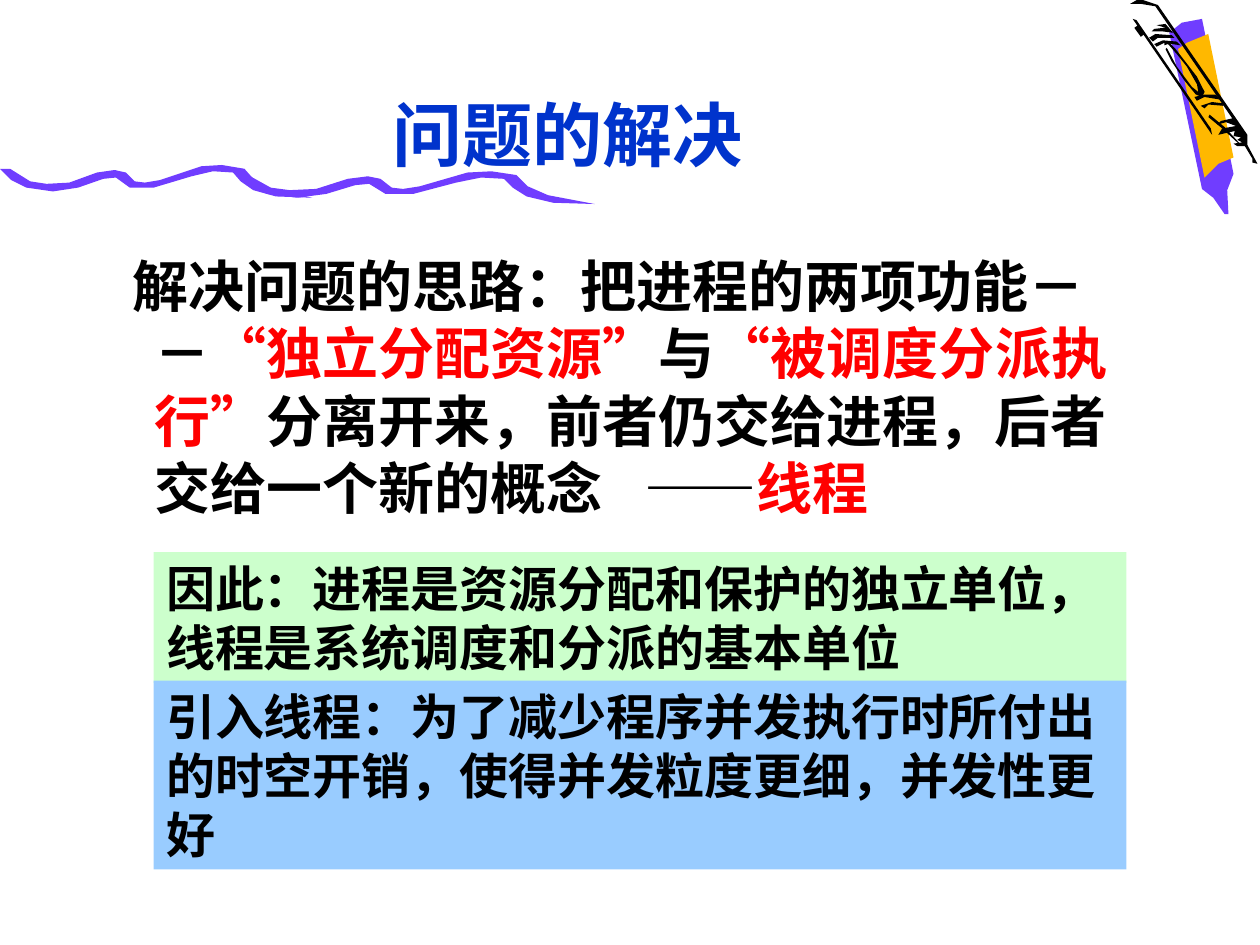
"""Build the slide on how threads take over scheduling from processes."""
from dataclasses import dataclass

from pptx import Presentation
from pptx.dml.color import RGBColor
from pptx.enum.lang import MSO_LANGUAGE_ID as Lang
from pptx.enum.shapes import MSO_CONNECTOR as Connector, MSO_SHAPE as Preset
from pptx.enum.text import MSO_ANCHOR as Anchor, MSO_AUTO_SIZE as AutoSize, PP_ALIGN as Align
from pptx.oxml.ns import qn
from pptx.util import Cm, Pt

COLORS = {
    "violet": "703DFF", "amber": "FFB800", "ink": "000000", "blue": "0033CC",
    "red": "FF0000", "mint": "CCFFCC", "sky": "99CCFF",
}
MAIN_FONT = "Comic Neue"
QUOTE_FONT = "Arial"
UNIT = Cm(0.0254)
WAVE_STRETCH = 1.145


@dataclass(frozen=True)
class Outline:
    color: str
    points: tuple


@dataclass(frozen=True)
class Span:
    text: str
    color: str = "ink"
    font: str = MAIN_FONT
    spacing: int = 0


@dataclass(frozen=True)
class Panel:
    text: str
    color: str
    top: float
    height: float


WAVE = (
    (8, 134), (24, 144), (37, 146), (55, 145), (77, 137), (91, 135), (100, 137), (107, 144),
    (115, 145), (127, 143), (160, 132), (176, 131), (194, 134), (202, 143), (216, 150),
    (248, 157), (219, 156), (201, 151), (191, 144), (185, 137), (169, 136), (152, 140),
    (122, 149), (103, 149), (92, 141), (82, 142), (62, 149), (42, 152), (21, 149), (9, 143),
    (0, 134),
)
SECOND_WAVE = tuple((188 + WAVE_STRETCH * x, y + 5) for x, y in WAVE)

OUTLINES = (
    Outline("violet", ((928, 26), (954, 150), (963, 157), (972, 170), (975, 170), (974, 151),
                       (979, 138), (954, 15), (938, 18))),
    Outline("amber", ((956, 141), (967, 130), (979, 125), (959, 27), (942, 34), (935, 39))),
    Outline("violet", WAVE),
    Outline("violet", SECOND_WAVE),
    Outline("ink", ((959, 93), (970, 102), (984, 115), (984, 114), (972, 101), (960, 91))),
    Outline("ink", ((914, 25), (923, 25), (931, 26), (925, 19), (918, 20), (925, 22), (916, 23))),
    Outline("ink", ((925, 39), (930, 49), (940, 64), (949, 75), (954, 77), (956, 73), (950, 61),
                    (940, 48), (933, 39), (927, 33), (924, 33), (924, 36), (927, 35), (934, 43),
                    (942, 53), (950, 67), (951, 73), (946, 69), (934, 53), (926, 38))),
    Outline("ink", ((899, 15), (962, 107), (961, 102), (902, 16))),
    Outline("ink", ((967, 107), (970, 102), (981, 100), (973, 97), (966, 99), (969, 96),
                    (978, 94), (917, 5), (905, 3), (897, 3), (904, -1), (919, 4), (990, 107),
                    (990, 115), (998, 130), (994, 129), (994, 126), (988, 116), (982, 116),
                    (979, 114), (986, 113), (982, 111), (985, 109), (979, 108), (980, 104))),
    Outline("ink", ((956, 86), (959, 83), (971, 84), (970, 82), (962, 81), (953, 84))),
    Outline("ink", ((950, 80), (956, 77), (968, 79), (965, 75), (956, 75), (948, 77))),
    Outline("ink", ((918, 37), (924, 34), (937, 36), (934, 33), (923, 32), (916, 35))),
    Outline("ink", ((915, 33), (919, 30), (932, 30), (930, 28), (917, 27), (912, 30))),
)


def quoted(text: str) -> tuple:
    return (Span("“", "red", QUOTE_FONT), Span(text, "red"), Span("”", "red", QUOTE_FONT))


IDEA = (
    Span("解决问题的思路：把进程的两项功能－－"),
    *quoted("独立分配资源"),
    Span("与"),
    *quoted("被调度分派执行"),
    Span("分离开来，前者仍交给进程，后者交给一个新的概念"),
    Span(" ", spacing=1660),
    Span("——", font=QUOTE_FONT),
    Span("线程", "red"),
)

PANELS = (
    Panel("因此：进程是资源分配和保护的独立单位，线程是系统调度和分派的基本单位", "mint", 11.13, 2.64),
    Panel("引入线程：为了减少程序并发执行时所付出的时空开销，使得并发粒度更细，并发性更好",
          "sky", 13.72, 3.81),
)


def rgb(name: str) -> RGBColor:
    return RGBColor.from_string(COLORS[name])


def style_run(run, size: int, color: str, font: str = MAIN_FONT) -> None:
    run.font.size = Pt(size)
    run.font.bold = True
    run.font.name = font
    run.font.color.rgb = rgb(color)
    run.font.language_id = Lang.SIMPLIFIED_CHINESE


def paint(shape, color: str) -> None:
    shape.shadow.inherit = False
    shape.fill.solid()
    shape.fill.fore_color.rgb = rgb(color)
    shape.line.fill.background()


def draw_outline(page, outline: Outline) -> None:
    first, *rest = outline.points
    builder = page.shapes.build_freeform(*first, scale=UNIT)
    builder.add_line_segments(rest, close=True)
    paint(builder.convert_to_shape(), outline.color)


def draw_stroke(page) -> None:
    stroke = page.shapes.add_connector(Connector.STRAIGHT, Cm(22.91), Cm(0.53), Cm(23.04), Cm(0.71))
    stroke.line.color.rgb = rgb("ink")
    stroke.line.width = Pt(3)
    properties = stroke._element.spPr
    properties.append(properties.makeelement(qn("a:effectLst"), {}))


def write_title(page, text: str) -> None:
    title = page.shapes.title
    title.left, title.top, title.width, title.height = Cm(1.9), Cm(1.32), Cm(19.08), Cm(2.34)
    frame = title.text_frame
    frame.text = text
    frame.auto_size = AutoSize.NONE
    frame.vertical_anchor = Anchor.BOTTOM
    para = frame.paragraphs[0]
    para.alignment = Align.CENTER
    style_run(para.runs[0], 40, "blue")


def write_idea(page, spans: tuple) -> None:
    box = page.shapes.add_textbox(Cm(1.9), Cm(4.95), Cm(21.39), Cm(11.56))
    frame = box.text_frame
    frame.word_wrap = True
    para = frame.paragraphs[0]
    properties = para._p.get_or_add_pPr()
    properties.set("marL", str(Cm(0.96)))
    properties.set("indent", str(Cm(-0.44)))
    for span in spans:
        run = para.add_run()
        run.text = span.text
        style_run(run, 32, span.color, span.font)
        if span.spacing:
            run.font._element.set("spc", str(span.spacing))


def draw_panel(page, panel: Panel) -> None:
    box = page.shapes.add_shape(Preset.RECTANGLE, Cm(3.1), Cm(panel.top), Cm(19.61), Cm(panel.height))
    paint(box, panel.color)
    frame = box.text_frame
    frame.text = panel.text
    frame.word_wrap = True
    frame.vertical_anchor = Anchor.TOP
    para = frame.paragraphs[0]
    para.alignment = Align.LEFT
    style_run(para.runs[0], 28, "ink")


def main() -> None:
    deck = Presentation()
    deck.slide_width, deck.slide_height = Cm(25.4), Cm(19.05)
    page = deck.slides.add_slide(deck.slide_layouts[5])
    for outline in OUTLINES:
        draw_outline(page, outline)
    draw_stroke(page)
    write_title(page, "问题的解决")
    write_idea(page, IDEA)
    for panel in PANELS:
        draw_panel(page, panel)
    deck.save("out.pptx")


if __name__ == "__main__":
    main()
